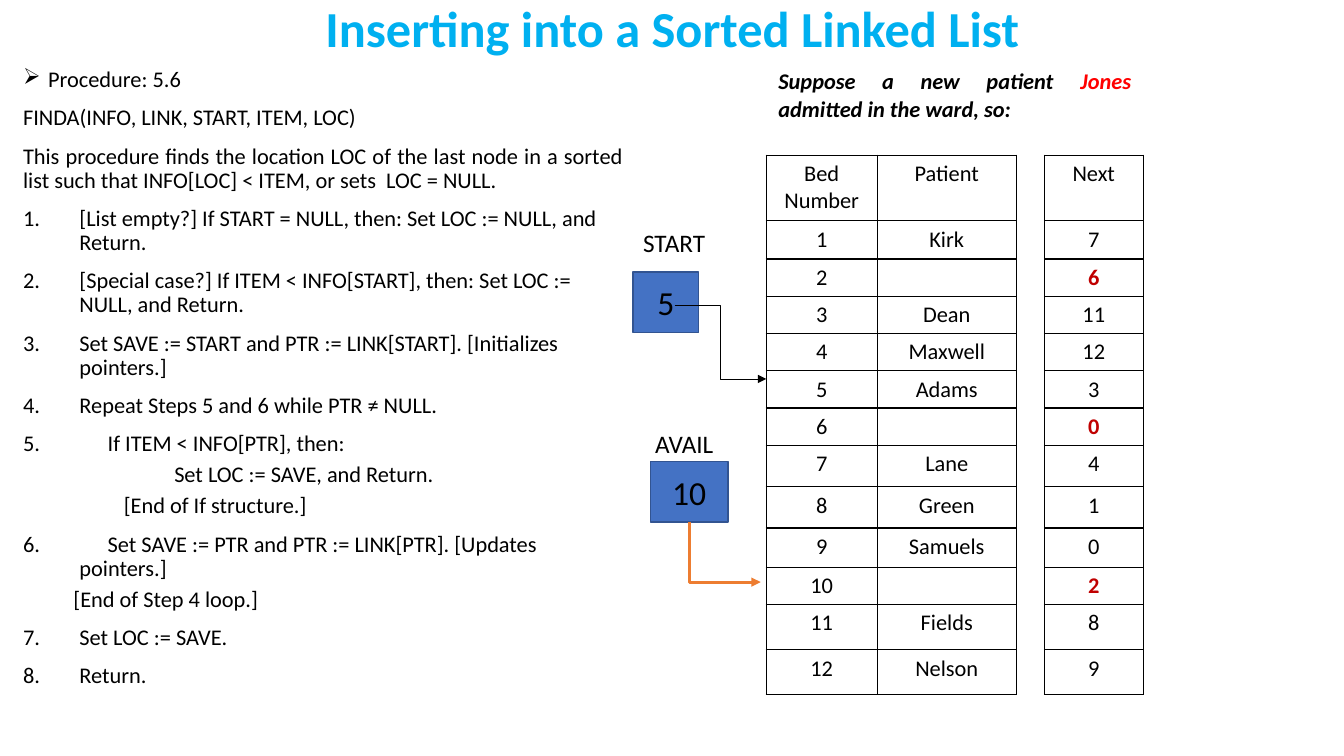
"""Build the slide on inserting into a sorted linked list."""
from lxml import etree
from pptx import Presentation
from pptx.dml.color import RGBColor
from pptx.enum.shapes import MSO_CONNECTOR, MSO_SHAPE
from pptx.enum.text import MSO_ANCHOR, PP_ALIGN
from pptx.oxml.ns import qn
from pptx.util import Inches, Pt

BLACK = RGBColor(0x00, 0x00, 0x00)
SKY = RGBColor(0x00, 0xB0, 0xF0)
RED = RGBColor(0xFF, 0x00, 0x00)
DARK_RED = RGBColor(0xC0, 0x00, 0x00)
BLUE = RGBColor(0x44, 0x72, 0xC4)
NAVY = RGBColor(0x32, 0x54, 0x91)
ORANGE = RGBColor(0xED, 0x7D, 0x31)
CENTER, JUSTIFY, LEFT = PP_ALIGN.CENTER, PP_ALIGN.JUSTIFY, PP_ALIGN.LEFT
MIDDLE = MSO_ANCHOR.MIDDLE
ELBOW, RECTANGLE = MSO_CONNECTOR.ELBOW, MSO_SHAPE.RECTANGLE


def style(para, size, color=BLACK, bold=False, align=LEFT):
    para.alignment = align
    font = para.font
    font.name, font.size, font.bold = "Calibri", Pt(size), bold
    font.color.rgb = color


def add_label(text, left, top, width, height):
    box = page.shapes.add_textbox(Inches(left), Inches(top), Inches(width), Inches(height))
    box.text_frame.word_wrap = True
    box.text_frame.text = text
    return box.text_frame


deck = Presentation()
deck.slide_width, deck.slide_height = Inches(13.33), Inches(7.5)
page = deck.slides.add_slide(deck.slide_layouts[6])

title = add_label("Inserting into a Sorted Linked List", 0.92, 0, 11.5, 0.61)
title.vertical_anchor = MIDDLE
title.paragraphs[0].line_spacing = 0.9
style(title.paragraphs[0], 36, SKY, True, CENTER)

PROCEDURE = [
    ("arrow", "Procedure: 5.6"),
    ("plain", "FINDA(INFO, LINK, START, ITEM, LOC)"),
    ("justified", "This procedure finds the location LOC of the last node in a sorted "
                  "list such that INFO[LOC] < ITEM, or sets  LOC = NULL."),
    ("step", "[List empty?] If START = NULL, then: Set LOC := NULL, and Return."),
    ("step", "[Special case?] If ITEM < INFO[START], then: Set LOC := NULL, and Return."),
    ("step", "Set SAVE := START and PTR := LINK[START]. [Initializes pointers.]"),
    ("step", "Repeat Steps 5 and 6 while PTR ≠ NULL."),
    ("step", "\tIf ITEM < INFO[PTR], then:"),
    (3, "Set LOC := SAVE, and Return."),
    (2, "[End of If structure.]"),
    ("step", "\tSet SAVE := PTR and PTR := LINK[PTR]. [Updates pointers.]"),
    (1, "[End of Step 4 loop.]"),
    ("step", "Set LOC := SAVE."),
    ("step", "Return."),
]
BULLETS = {"arrow": (0.25, "buChar", {"char": "➢"}),
           "step": (0.56, "buAutoNum", {"type": "arabicPeriod"})}
body = add_label("", 0.13, 0.63, 6.15, 6.6)
for index, (kind, text) in enumerate(PROCEDURE):
    para = body.add_paragraph() if index else body.paragraphs[0]
    para.add_run().text = text
    para.line_spacing = 0.9
    nested = isinstance(kind, int)
    if index:
        para.space_before = Pt(5 if nested else 10)
    props = para._p.get_or_add_pPr()
    if nested:
        para.level = kind
        props.set("marL", str(Inches(kind * 0.5)))
        props.set("indent", "0")
    if kind in BULLETS:
        hang, tag, attributes = BULLETS[kind]
        props.set("marL", str(Inches(hang)))
        props.set("indent", str(-Inches(hang)))
        etree.SubElement(props, qn("a:" + tag), attributes)
    if text.startswith("\t"):
        tabs = etree.SubElement(props, qn("a:tabLst"))
        etree.SubElement(tabs, qn("a:tab"), pos=str(Inches(0.84)), algn="l")
    style(para, 16, align=JUSTIFY if kind == "justified" else LEFT)

PATIENTS = ["Kirk", "", "Dean", "Maxwell", "Adams", "", "Lane", "Green", "Samuels", "",
            "Fields", "Nelson"]
NEXT = [7, 6, 11, 12, 3, 0, 4, 1, 0, 2, 8, 9]
COLUMN_WIDTHS = [1.1, 1.38, 0.27, 0.98]
ROW_HEIGHTS = [0.91, 0.65] + [0.38] + [0.37] * 5 + [0.41, 0.41, 0.39, 0.37, 0.45, 0.44]
GAP = 2
rows = [[""] * 4, ["Bed Number", "Patient", "", "Next"]]
for bed, (patient, following) in enumerate(zip(PATIENTS, NEXT), 1):
    rows.append([str(bed), patient, "", str(following)])

ward = page.shapes.add_table(len(rows), 4, Inches(7.6), Inches(0.63), Inches(3.73),
                             Inches(sum(ROW_HEIGHTS))).table
ward.first_row = ward.horz_banding = False
for column, width in zip(ward.columns, COLUMN_WIDTHS):
    column.width = Inches(width)
for row, height in zip(ward.rows, ROW_HEIGHTS):
    row.height = Inches(height)
for r, values in enumerate(rows):
    for c, value in enumerate(values):
        cell = ward.cell(r, c)
        cell.fill.background()
        cell.margin_left = cell.margin_right = Inches(0.12)
        cell.margin_top = cell.margin_bottom = Inches(0.05 if value or r == 0 else 0.02)
        cell.text = value
        free_bed = r > 1 and c == 3 and not values[1]
        style(cell.text_frame.paragraphs[0], 16, DARK_RED if free_bed else BLACK, free_bed, CENTER)
        for position, side in enumerate("LRTB"):
            line = etree.Element(qn("a:ln" + side), w=str(Pt(1)))
            if r and (c != GAP or side in "LR"):
                fill = etree.SubElement(line, qn("a:solidFill"))
                etree.SubElement(fill, qn("a:srgbClr"), val=str(BLACK))
            else:
                etree.SubElement(line, qn("a:noFill"))
            cell._tc.tcPr.insert(position, line)

ward.cell(0, 0).merge(ward.cell(0, 3))
ward.cell(1, GAP).merge(ward.cell(11, GAP))
caption = ward.cell(0, 0).text_frame.paragraphs[0]
style(caption, 16, bold=True, align=JUSTIFY)
caption.font.italic = True
for text, color in [("Suppose a new patient ", BLACK), ("Jones ", RED),
                    ("admitted in the ward, so:", BLACK)]:
    span = caption.add_run()
    span.text = text
    span.font.color.rgb = color

for value, left, top, width in [("5", 6.28, 2.7, 0.65), ("10", 6.45, 4.58, 0.77)]:
    pointer = page.shapes.add_shape(RECTANGLE, Inches(left), Inches(top), Inches(width), Inches(0.6))
    pointer.shadow.inherit = False
    pointer.fill.solid()
    pointer.fill.fore_color.rgb = BLUE
    pointer.line.color.rgb = NAVY
    pointer.line.width = Pt(1)
    pointer.text_frame.text = value
    pointer.text_frame.vertical_anchor = MIDDLE
    style(pointer.text_frame.paragraphs[0], 24, align=CENTER)

for name, left, top in [("START", 6.28, 2.21), ("AVAIL", 6.4, 4.2)]:
    style(add_label(name, left, top, 1.1, 0.4).paragraphs[0], 18)

arrows = []
for ends, color, weight in [((6.69, 3.03, 7.6, 3.76), BLACK, 0.5),
                            ((7.49, 5.12, 6.89, 5.83), ORANGE, 2.25)]:
    arrow = page.shapes.add_connector(ELBOW, *[Inches(value) for value in ends])
    arrow.line.color.rgb = color
    arrow.line.width = Pt(weight)
    etree.SubElement(arrow.line._get_or_add_ln(), qn("a:tailEnd"), type="triangle")
    etree.SubElement(arrow._element.spPr, qn("a:effectLst"))
    arrows.append(arrow)
avail_props = arrows[1]._element.spPr
avail_props.find(qn("a:prstGeom")).set("prst", "bentConnector2")
avail_props.find(qn("a:xfrm")).set("rot", str(270 * 60000))

deck.save("out.pptx")
